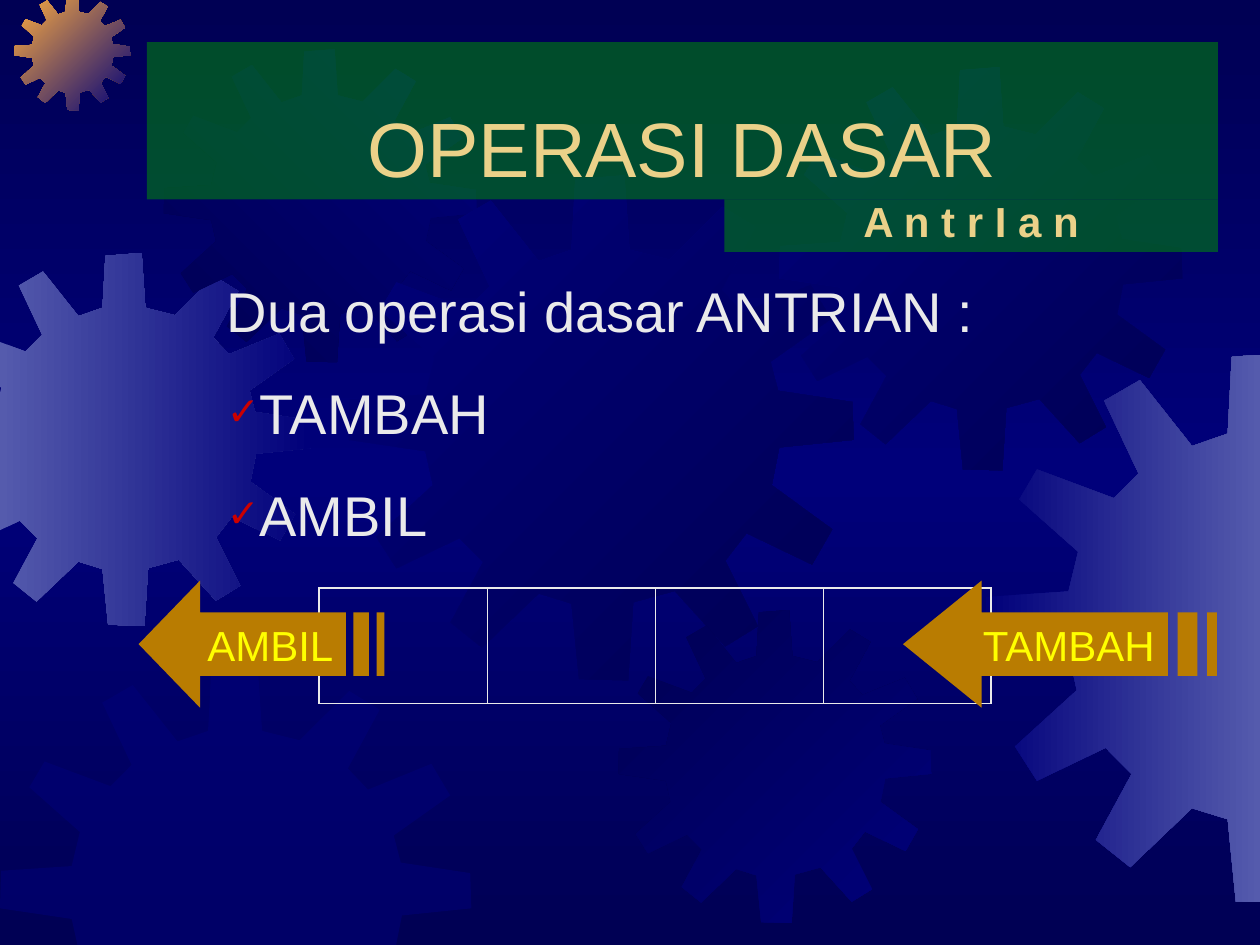
from copy import deepcopy
from lxml.etree import SubElement as Sub
from pptx import Presentation
from pptx.dml.color import RGBColor
from pptx.enum.shapes import MSO_SHAPE as Shape
from pptx.enum.text import MSO_ANCHOR as Anchor, MSO_AUTO_SIZE as Fit, PP_ALIGN as Align
from pptx.oxml.ns import qn
from pptx.util import Inches, Pt

NIGHT = RGBColor(0x00, 0x00, 0x54)
NAVY = RGBColor(0x00, 0x00, 0x7A)
LILAC = RGBColor(0x55, 0x5B, 0xAD)
ORANGE = RGBColor(0xFC, 0xAB, 0x40)
GREEN = RGBColor(0x00, 0x99, 0x00)
SAND = RGBColor(0xEB, 0xD1, 0x89)
PALE = RGBColor(0xEA, 0xEA, 0xEA)
GOLD = RGBColor(0xB9, 0x7C, 0x01)
YELLOW = RGBColor(0xFF, 0xFF, 0x00)

# The slide is a grid of 120 columns and 90 rows.
COLS, ROWS = 120, 90
CELL = Inches(10) / COLS
FINE = 100  # freeform steps in a cell

# Outline of the gear wheel, in a square of side 401
SIDE = 401
TEETH = [
    (255, 67), (223, 59), (219, 0), (180, 3), (177, 59), (151, 68),
    (113, 20), (87, 35), (112, 88), (94, 106), (38, 85), (25, 107),
    (68, 145), (61, 174), (1, 178), (0, 210), (61, 219), (67, 246),
    (22, 287), (38, 312), (88, 288), (107, 307), (81, 355), (106, 375),
    (151, 332), (177, 340), (183, 400), (222, 401), (226, 339), (259, 330),
    (299, 374), (325, 358), (299, 306), (316, 284), (368, 309), (384, 281),
    (336, 246), (342, 216), (401, 210), (400, 180), (341, 171), (335, 148),
    (383, 114), (367, 87), (313, 109), (296, 91), (323, 41), (297, 25)]

# left, top, side, first colour, last colour, clockwise angle
GEARS = [
    (-5.9, 24.1, 35.5, LILAC, NAVY, 0),
    (1.4, -0.5, 11, ORANGE, NAVY, 45),
    (15.6, 4.7, 29.8, NIGHT, NAVY, 315),
    (33.2, 16.7, 48.1, NAVY, NIGHT, 45),
    (0, 63, 44.9, NAVY, None, 0),
    (58.9, 58.1, 29.8, NIGHT, NAVY, 45),
    (74.2, 6.4, 38.4, NAVY, NIGHT, 45),
    (93.8, 33.6, 52.4, NAVY, LILAC, 0)]


def clip(pts, axis, edge, sign):
    """Cut a polygon at a line, keeping the side where sign * (value - edge) >= 0."""
    kept = []
    for a, b in zip(pts, pts[1:] + pts[:1]):
        da, db = sign * (a[axis] - edge), sign * (b[axis] - edge)
        if da >= 0:
            kept.append(a)
        if da * db < 0:
            t = da / (da - db)
            kept.append(tuple(p + t * (q - p) for p, q in zip(a, b)))
    return kept


def dress(shape, fill, text=None, **look):
    """Give a shape a plain fill, no line, and one line of Arial text."""
    shape.shadow.inherit = False
    shape.line.fill.background()
    shape.fill.solid()
    shape.fill.fore_color.rgb = fill
    if text:
        para = shape.text_frame.paragraphs[0]
        para.text, para.alignment = text, Align.CENTER
        font = para.runs[0].font
        font.color.rgb = look.pop("color")
        for key, val in {"name": "Arial", **look}.items():
            setattr(font, key, val)


prs = Presentation()
prs.slide_width, prs.slide_height = Inches(10), Inches(7.5)
slide = prs.slides.add_slide(prs.slide_layouts[5])
shapes = slide.shapes

# Background
back = slide.background.fill
back.gradient()
back.gradient_angle = 270
first = back.gradient_stops[0]._gs
first.addnext(deepcopy(first))
for stop, color, pos in zip(back.gradient_stops, (NIGHT, NAVY, NIGHT), (0, 0.5, 1)):
    stop.color.rgb, stop.position = color, pos

# Gears, cut at the slide's edges
clear = []
for left, top, side, start, end, turn in GEARS:
    pts = [(left + x * side / SIDE, top + y * side / SIDE) for x, y in TEETH]
    for cut in ((0, 0, 1), (0, COLS, -1), (1, 0, 1), (1, ROWS, -1)):
        pts = clip(pts, *cut)
    pts = [(x * FINE, y * FINE) for x, y in pts]
    pen = shapes.build_freeform(*pts[0], scale=CELL / FINE)
    pen.add_line_segments(pts[1:])
    gear = pen.convert_to_shape()
    dress(gear, start)
    if end is None:
        clear.append(gear)
        continue
    gear.fill.gradient()
    gear.fill.gradient_angle = (360 - turn) % 360
    for stop, color, pos in zip(gear.fill.gradient_stops, (start, end), (0, 1)):
        stop.color.rgb, stop.position = color, pos

# Title and subtitle bands
title = shapes.title
shapes._spTree.append(title._element)
sub = shapes.add_shape(Shape.RECTANGLE, 0, 0, 0, 0)
for band, box, text, size, bold in (
        (title, (14, 4, 102, 15), "OPERASI DASAR", 44, False),
        (sub, (69, 19, 47, 5), "A n t r I a n", 24, True)):
    for key, val in zip(("left", "top", "width", "height"), box):
        setattr(band, key, round(val * CELL))
    if band is title:
        band.text_frame.auto_size = Fit.NONE
    band.text_frame.vertical_anchor = Anchor.BOTTOM
    dress(band, GREEN, text, size=Pt(size), bold=bold, color=SAND)
    clear.append(band)

for item in clear:
    tint = item._element.spPr.find(qn("a:solidFill"))[0]
    Sub(tint, qn("a:alpha"), val="50000")

# List of operations
frame = shapes.add_textbox(*(round(n * CELL) for n in (18, 25.7, 89, 36))).text_frame
frame.word_wrap = True
frame.margin_left = Inches(0.3)
for i, text in enumerate(("Dua operasi dasar ANTRIAN :", "TAMBAH", "AMBIL")):
    para = frame.add_paragraph() if i else frame.paragraphs[0]
    para.text = text
    if i:
        para.space_before = Pt(20)
        props = para._p.get_or_add_pPr()
        props.set("marL", str(Inches(0.25)))
        props.set("indent", str(-Inches(0.25)))
        Sub(Sub(props, qn("a:buClr")), qn("a:srgbClr"), val="CC0000")
        Sub(props, qn("a:buSzPct"), val="70000")
        Sub(props, qn("a:buFont"), typeface="Arial")
        Sub(props, qn("a:buChar"), char="✓")
    font = para.runs[0].font
    font.name, font.size, font.color.rgb = "Arial", Pt(32), PALE

# Queue of four cells
SLOTS = 4
table = shapes.add_table(1, SLOTS, *(round(n * CELL) for n in (30.4, 56, 64, 11))).table
table.first_row = table.horz_banding = False
for i, cell in enumerate(table.iter_cells()):
    cell.fill.background()
    props = cell._tc.get_or_add_tcPr()
    thick = {"lnL": i == 0, "lnR": i == SLOTS - 1, "lnT": True, "lnB": True}
    for n, (side, wide) in enumerate(thick.items()):
        line = props.makeelement(qn("a:" + side), {"w": str(Pt(1.08 if wide else 0.45))})
        Sub(Sub(line, qn("a:solidFill")), qn("a:srgbClr"), val=str(PALE))
        props.insert(n, line)

# Striped arrows: 32 steps long, 4 steps high
PARTS = [
    [(8, 4), (8, 3), (27, 3), (27, 1), (8, 1), (8, 0), (0, 2)],
    [(30, 3), (30, 1), (28, 1), (28, 3)],
    [(32, 3), (32, 1), (31, 1), (31, 3)]]
for text, left, width in (("TAMBAH", 86, 29.9), ("AMBIL", 13.2, 23.4)):
    pen = None
    for part in PARTS:
        pts = [((left + x * width / 32) * FINE, (55.3 + y * 12.1 / 4) * FINE) for x, y in part]
        if pen:
            pen.move_to(*pts[0])
        else:
            pen = shapes.build_freeform(*pts[0], scale=CELL / FINE)
        pen.add_line_segments(pts[1:])
    arrow = pen.convert_to_shape()
    dress(arrow, GOLD, text, size=Pt(24), color=YELLOW)
    for key, val in {"margin_left": Inches(0.24), "margin_right": Inches(0.1),
                     "vertical_anchor": Anchor.MIDDLE, "word_wrap": True}.items():
        setattr(arrow.text_frame, key, val)

prs.save("out.pptx")
